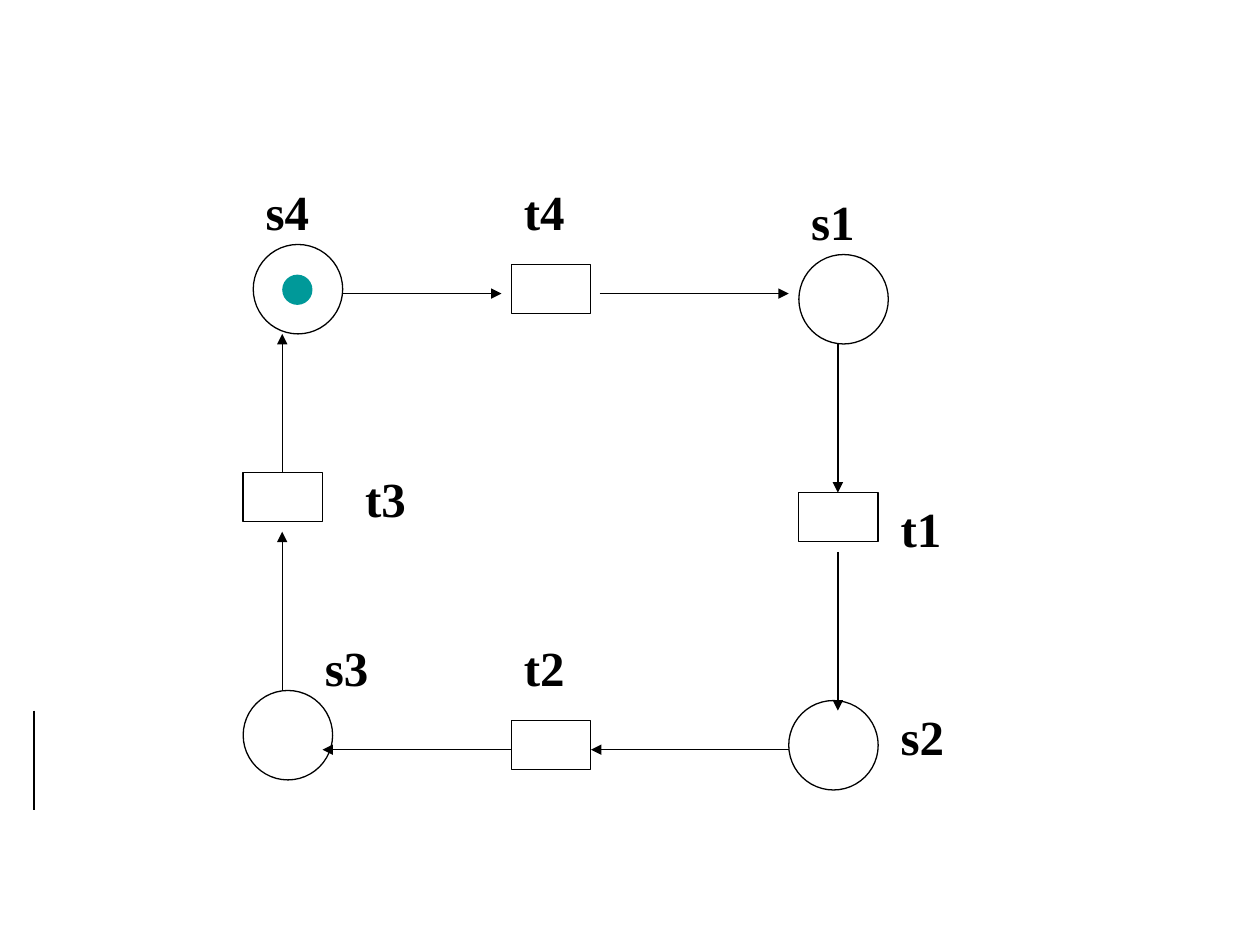
from dataclasses import dataclass

from lxml import etree
from pptx import Presentation, util as u
from pptx.dml.color import RGBColor
from pptx.enum import shapes, text
from pptx.oxml.ns import qn


@dataclass
class Theme:
    ink: RGBColor = RGBColor(0, 0, 0)
    paper: RGBColor = RGBColor(255, 255, 255)
    token: RGBColor = RGBColor(0, 0x99, 0x99)
    font: str = "Times New Roman"
    label_size: float = 28
    label_space: float = 3.6
    thin: float = 0.75
    rule: float = 1


class NetSlide:
    """Draws the elements of a Petri net on one slide."""

    PLACE = 0.71
    TOKEN = 0.24
    TRANSITION = (0.63, 0.39)
    LABEL = (0.63, 0.67)

    def __init__(self, slide, theme):
        self.slide = slide
        self.theme = theme

    def _shape(self, kind, left, top, width, height, fill=None, outlined=True):
        shape = self.slide.shapes.add_shape(
            kind, u.Inches(left), u.Inches(top), u.Inches(width), u.Inches(height))
        shape.shadow.inherit = False
        if fill is None:
            shape.fill.background()
        else:
            shape.fill.solid()
            shape.fill.fore_color.rgb = fill
        if outlined:
            shape.line.color.rgb = self.theme.ink
            shape.line.width = u.Pt(self.theme.thin)
        else:
            shape.line.fill.background()

    def place(self, left, top):
        self._shape(shapes.MSO_SHAPE.OVAL, left, top, self.PLACE, self.PLACE)

    def token(self, left, top):
        self._shape(shapes.MSO_SHAPE.OVAL, left, top, self.TOKEN, self.TOKEN,
                    self.theme.token, outlined=False)

    def transition(self, left, top):
        self._shape(shapes.MSO_SHAPE.RECTANGLE, left, top, *self.TRANSITION,
                    self.theme.paper)

    def line(self, start, end, width):
        connector = self.slide.shapes.add_connector(
            shapes.MSO_CONNECTOR.STRAIGHT,
            *(u.Inches(value) for value in (*start, *end)))
        connector.line.color.rgb = self.theme.ink
        connector.line.width = u.Pt(width)
        etree.SubElement(connector._element.spPr, qn("a:effectLst"))
        return connector

    def arrow(self, start, end):
        connector = self.line(start, end, self.theme.thin)
        outline = connector.line._get_or_add_ln()
        etree.SubElement(outline, qn("a:tailEnd"), type="triangle")

    def label(self, name, left, top):
        width, height = self.LABEL
        box = self.slide.shapes.add_textbox(
            u.Inches(left), u.Inches(top), u.Inches(width), u.Inches(height))
        frame = box.text_frame
        frame.word_wrap = True
        frame.vertical_anchor = text.MSO_ANCHOR.TOP
        paragraph = frame.paragraphs[0]
        paragraph.space_before = u.Pt(self.theme.label_space)
        run = paragraph.add_run()
        run.text = name
        run.font.name = self.theme.font
        run.font.size = u.Pt(self.theme.label_size)
        run.font.bold = True
        run.font.color.rgb = self.theme.ink


# Left and top of each node, then of its label
PLACES = {
    "s4": ((2.01, 1.94), (2.01, 1.39)),
    "s1": ((6.34, 2.02), (6.34, 1.47)),
    "s2": ((6.26, 5.56), (7.05, 5.56)),
    "s3": ((1.93, 5.48), (2.48, 5.01)),
}
TRANSITIONS = {
    "t4": ((4.06, 2.10), (4.06, 1.39)),
    "t1": ((6.34, 3.91), (7.05, 3.91)),
    "t2": ((4.06, 5.72), (4.06, 5.01)),
    "t3": ((1.93, 3.75), (2.80, 3.67)),
}

# Arrows run clockwise along the four sides of the loop
TOP, RIGHT, BOTTOM, LEFT = 2.33, 6.65, 5.95, 2.24
ARROWS = [
    ((2.72, TOP), (3.98, TOP)),
    ((4.76, TOP), (6.26, TOP)),
    ((RIGHT, 2.73), (RIGHT, 3.91)),
    ((RIGHT, 4.38), (RIGHT, 5.64)),
    ((6.26, BOTTOM), (4.69, BOTTOM)),
    ((4.06, BOTTOM), (2.56, BOTTOM)),
    ((LEFT, 5.48), (LEFT, 4.22)),
    ((LEFT, 3.83), (LEFT, 2.65)),
]


def main():
    presentation = Presentation()
    presentation.slide_width = u.Inches(10)
    presentation.slide_height = u.Inches(7.5)
    blank_layout = presentation.slide_layouts[6]
    theme = Theme()
    net = NetSlide(presentation.slides.add_slide(blank_layout), theme)

    # Margin rule
    net.line((0.27, 5.64), (0.27, 6.43), theme.rule)

    # Places, with the token in s4
    for position, _ in PLACES.values():
        net.place(*position)
    net.token(2.24, 2.18)

    # Flow
    for start, end in ARROWS:
        net.arrow(start, end)

    # Labels
    for name, (_, position) in {**PLACES, **TRANSITIONS}.items():
        net.label(name, *position)

    # Transitions
    for position, _ in TRANSITIONS.values():
        net.transition(*position)

    presentation.save("out.pptx")


if __name__ == "__main__":
    main()
